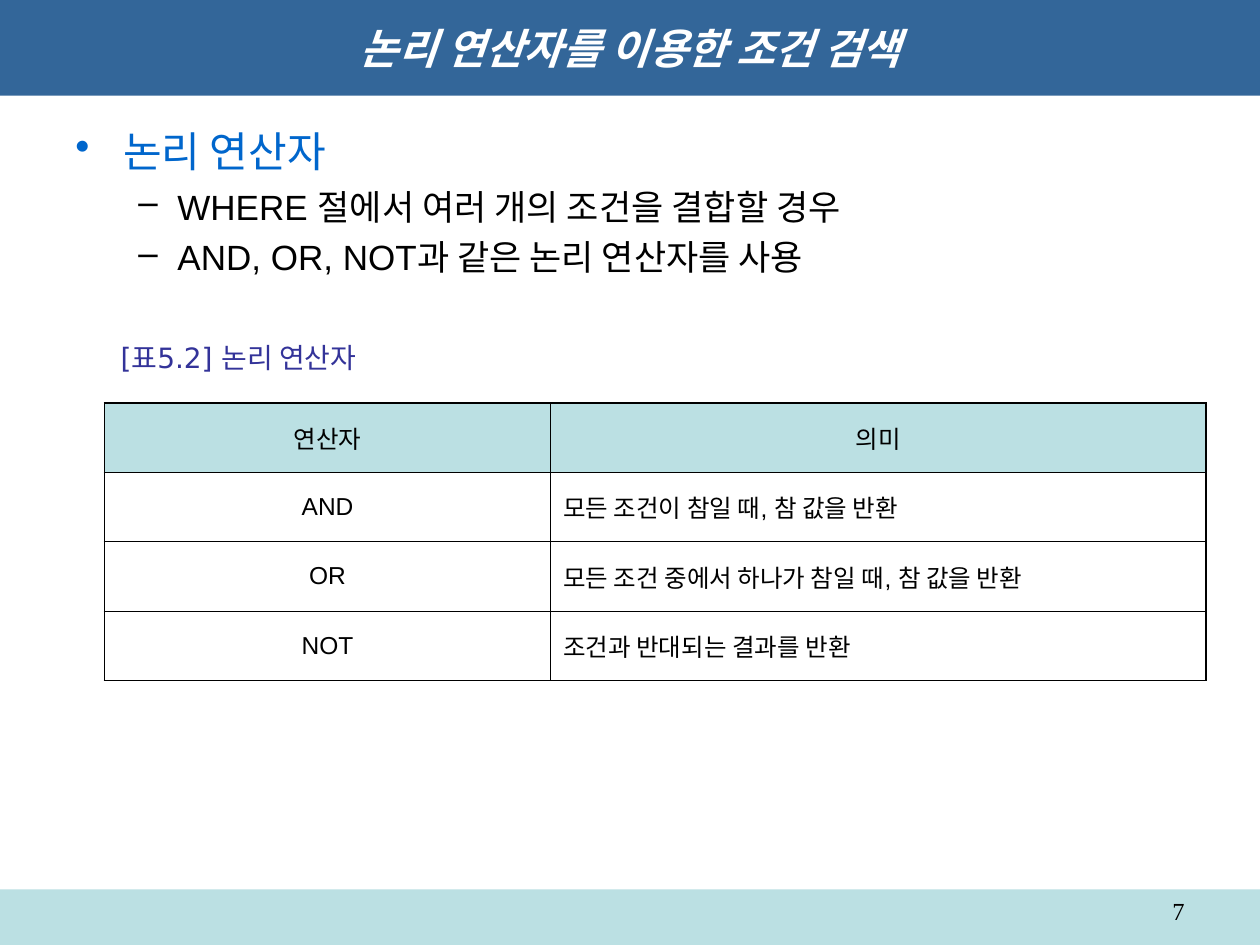
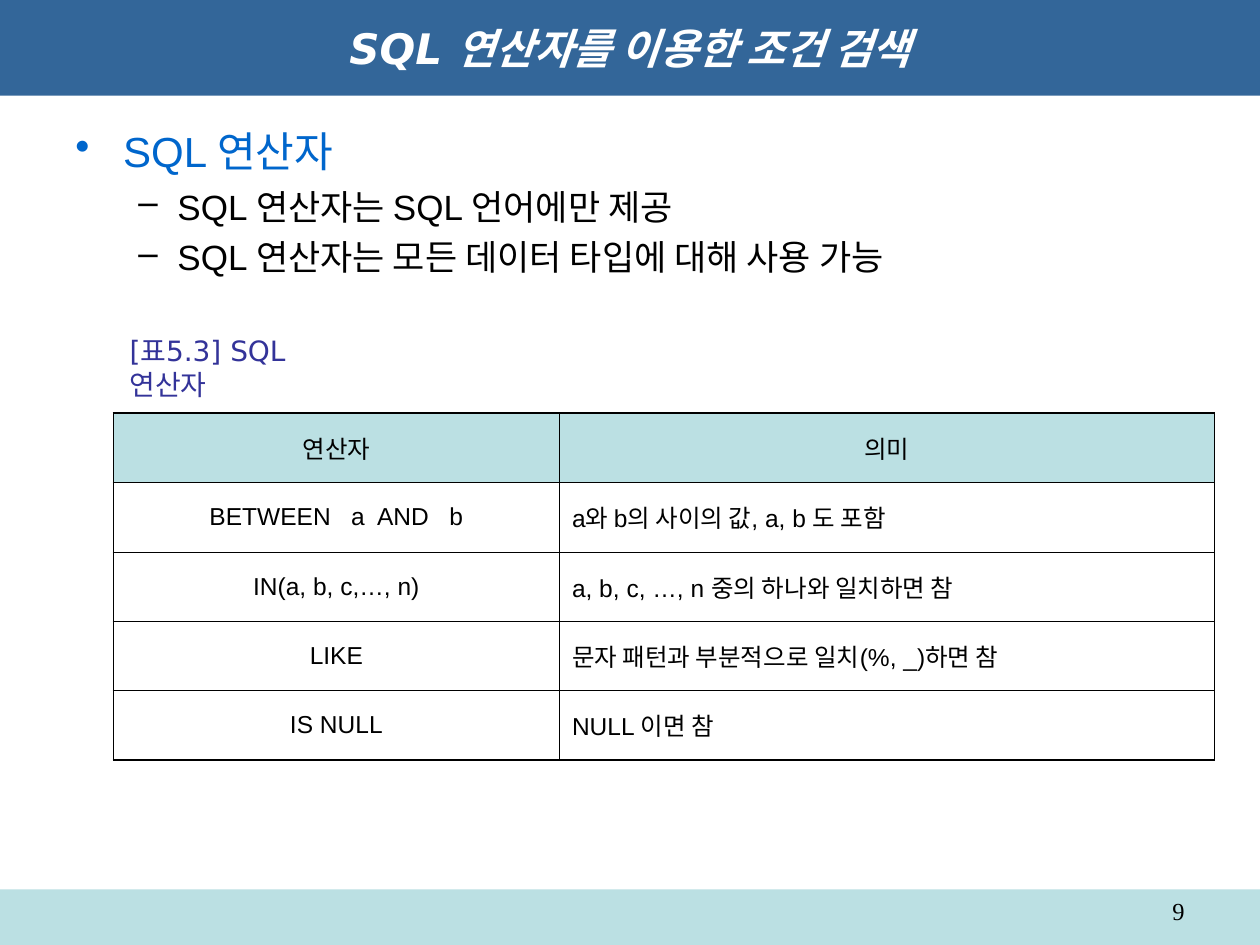
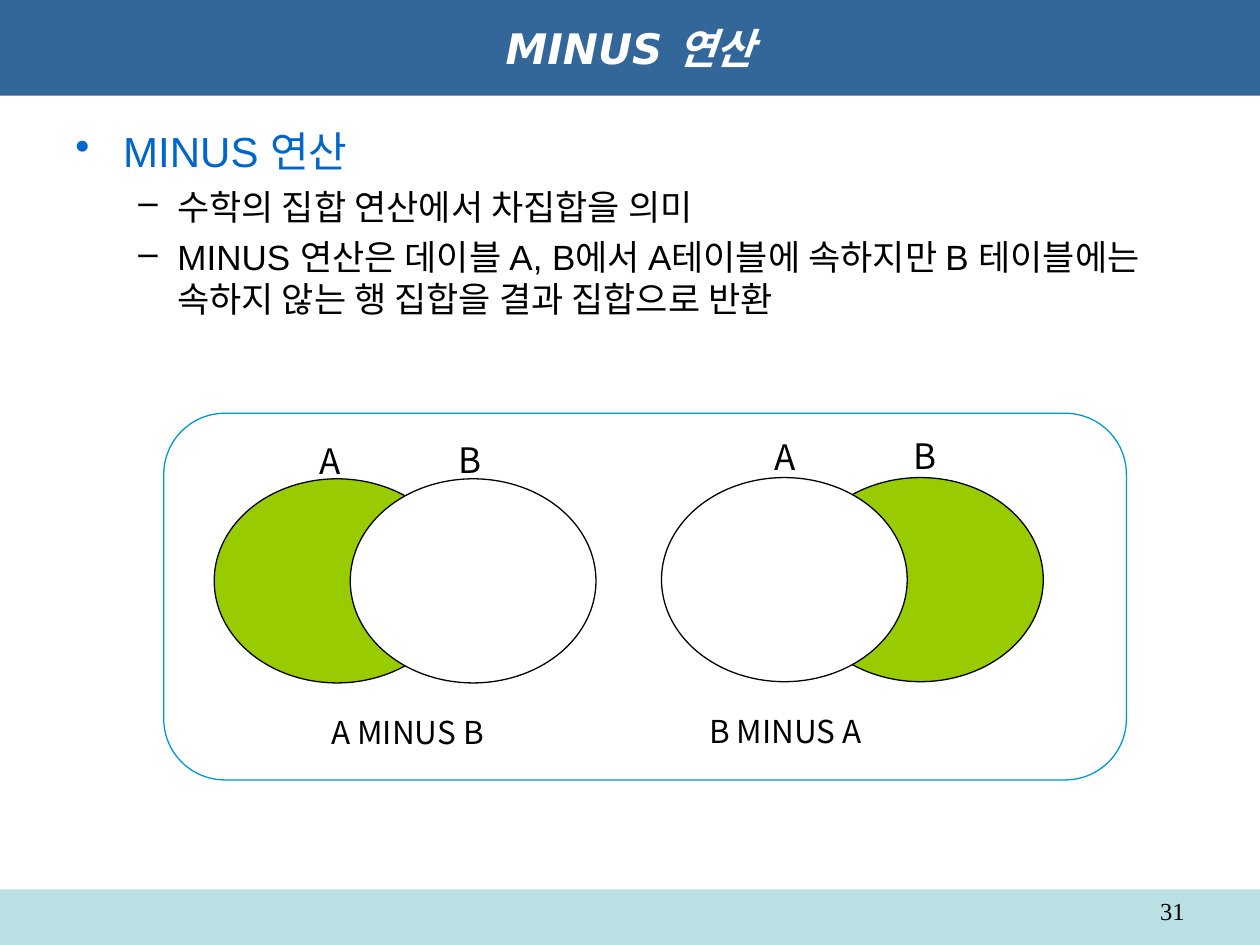
from lxml import etree
from pptx import Presentation
from pptx.dml.color import RGBColor
from pptx.enum import shapes as sh, text as tx
from pptx.oxml import ns
from pptx.util import Inches, Pt

HUE = {"bar": "336699", "pale": "BBE0E3", "head": "0066CC", "cap": "333399",
       "ink": "000000", "white": "FFFFFF", "green": "99CC00", "frame": "0099CC"}
SANS, CJK = "Arial", "Noto Sans CJK KR"
LEFT, MID, RIGHT = tx.PP_ALIGN.LEFT, tx.PP_ALIGN.CENTER, tx.PP_ALIGN.RIGHT
TOP, CENTER = tx.MSO_ANCHOR.TOP, tx.MSO_ANCHOR.MIDDLE
ROW, COLS = 0.55, (3.54, 5.2)
THIN, THICK = 0.45, 1.08


def rgb(name):
    return RGBColor.from_string(HUE[name])


def sub(node, tag, **attrs):
    return etree.SubElement(node, ns.qn(tag), attrs)


def write(para, words, size=14, font=SANS, hue="ink", bold=False,
          slant=False, align=LEFT, before=0):
    para.alignment = align
    para.space_before = Pt(before)
    run = para.add_run()
    run.text = words
    face = run.font
    face.size, face.name, face.bold, face.italic = Pt(size), font, bold, slant
    face.color.rgb = rgb(hue)
    sub(face._element, "a:ea", typeface=CJK)


def bullet(para, mark, hue, left, hang):
    props = para._p.get_or_add_pPr()
    props.set("marL", str(Inches(left)))
    props.set("indent", str(-Inches(hang)))
    sub(sub(props, "a:buClr"), "a:srgbClr", val=HUE[hue])
    sub(props, "a:buChar", char=mark)


def shape(slide, kind, box, fill=None, line=None):
    item = slide.shapes.add_shape(kind, *map(Inches, box))
    item.shadow.inherit = False
    if fill:
        item.fill.solid()
        item.fill.fore_color.rgb = rgb(fill)
    else:
        item.fill.background()
    if line:
        item.line.color.rgb = rgb(line)
        item.line.width = Pt(0.75)
    else:
        item.line.fill.background()
    return item


def area(slide, box, anchor=TOP):
    frame = slide.shapes.add_textbox(*map(Inches, box)).text_frame
    frame.word_wrap = True
    frame.vertical_anchor = anchor
    return frame


def label(slide, box, words, anchor=TOP, **fmt):
    write(area(slide, box, anchor).paragraphs[0], words, **fmt)


def title(slide, words):
    item = slide.shapes.title
    item.left, item.top, item.width, item.height = map(Inches, (0, 0, 10, 0.76))
    item.fill.solid()
    item.fill.fore_color.rgb = rgb("bar")
    frame = item.text_frame
    frame.auto_size = tx.MSO_AUTO_SIZE.NONE
    frame.vertical_anchor = CENTER
    write(frame.paragraphs[0], words, size=24, font="DejaVu Sans", hue="white",
          bold=True, slant=True, align=MID)


def body(slide, head, points):
    frame = area(slide, (0.5, 0.95, 9, 5.95))
    para = frame.paragraphs[0]
    write(para, head, size=24, hue="head", before=6)
    bullet(para, "•", "head", 0.38, 0.38)
    for point in points:
        para = frame.add_paragraph()
        para.level = 1
        write(para, point, size=20, before=5)
        bullet(para, "–", "ink", 0.81, 0.31)


def base(deck, name, head, points, number):
    """Add a slide with the parts that all slides share."""
    slide = deck.slides.add_slide(deck.slide_layouts[5])
    shape(slide, sh.MSO_SHAPE.RECTANGLE, (0, 7.06, 10, 0.44), "pale")
    title(slide, name)
    body(slide, head, points)
    label(slide, (7.17, 7.06, 2.33, 0.29), str(number),
          font="Times New Roman", align=RIGHT)
    return slide


def edges(cell, widths):
    """Draw the cell's borders; widths go left, right, top, bottom."""
    props = cell._tc.get_or_add_tcPr()
    for spot, (side, width) in enumerate(zip("LRTB", widths)):
        line = etree.Element(ns.qn("a:ln" + side), w=str(Pt(width)))
        sub(sub(line, "a:solidFill"), "a:srgbClr", val=HUE["ink"])
        props.insert(spot, line)


def grid(slide, left, top, caption, rows):
    rows = [("연산자", "의미")] + rows
    size = (sum(COLS), ROW * len(rows))
    table = slide.shapes.add_table(len(rows), len(COLS),
                                   *map(Inches, (left, top, *size))).table
    table.first_row = table.horz_banding = False
    for col, width in zip(table.columns, COLS):
        col.width = Inches(width)
    last = len(rows) - 1
    for r, row in enumerate(rows):
        table.rows[r].height = Inches(ROW)
        for c, words in enumerate(row):
            cell = table.cell(r, c)
            cell.vertical_anchor = CENTER
            if r == 0:
                cell.fill.solid()
                cell.fill.fore_color.rgb = rgb("pale")
            else:
                cell.fill.background()
            outer = (c == 0, c == len(COLS) - 1, r == 0, r == last)
            edges(cell, [THICK if out else THIN for out in outer])
            write(cell.text_frame.paragraphs[0], words, before=3.5,
                  align=LEFT if r and c else MID)
    label(slide, (left + 0.03, top - 0.55, 2.1, 0.37), caption, CENTER,
          size=16, font="DejaVu Sans", hue="cap")


def venn(slide, left, top, shift, keep, names, note):
    """Draw two overlapping sets; keep is the index of the shaded one."""
    for spot in (keep, 1 - keep):
        shape(slide, sh.MSO_SHAPE.OVAL, (left + 1.08 * spot, top, 1.95, 1.62),
              "green" if spot == keep else "white", "ink")
    for spot, name in enumerate("AB"):
        x, y = names
        label(slide, (left + x + 1.1 * spot, top + y - 0.01 * spot, 0.33, 0.44),
              name, size=20, font=CJK)
    label(slide, (left + shift, top + 1.81, 1.6, 0.4), note, size=18, font=CJK)


def sets(slide, left, top):
    venn(slide, left + 0.4, top + 0.52, 0.83, 0, (0.74, -0.36), "A MINUS B")
    venn(slide, left + 3.95, top + 0.51, 0.28, 1, (0.8, -0.38), "B MINUS A")
    shape(slide, sh.MSO_SHAPE.FLOWCHART_ALTERNATE_PROCESS,
          (left, top, 7.64, 2.91), line="frame")


def main():
    deck = Presentation()
    deck.slide_width, deck.slide_height = Inches(10), Inches(7.5)

    logic = base(deck, "논리 연산자를 이용한 조건 검색", "논리 연산자",
                 ["WHERE 절에서 여러 개의 조건을 결합할 경우",
                  "AND, OR, NOT과 같은 논리 연산자를 사용"], 7)
    grid(logic, 0.83, 3.2, "[표5.2] 논리 연산자",
         [("AND", "모든 조건이 참일 때, 참 값을 반환"),
          ("OR", "모든 조건 중에서 하나가 참일 때, 참 값을 반환"),
          ("NOT", "조건과 반대되는 결과를 반환")])

    query = base(deck, "SQL 연산자를 이용한 조건 검색", "SQL 연산자",
                 ["SQL 연산자는 SQL 언어에만 제공",
                  "SQL 연산자는 모든 데이터 타입에 대해 사용 가능"], 9)
    grid(query, 0.9, 3.28, "[표5.3] SQL 연산자",
         [("BETWEEN   a  AND   b", "a와 b의 사이의 값, a, b 도 포함"),
          ("IN(a, b, c,…, n)", "a, b, c, …, n 중의 하나와 일치하면 참"),
          ("LIKE", "문자 패턴과 부분적으로 일치(%, _)하면 참"),
          ("IS NULL", "NULL 이면 참")])

    minus = base(deck, "MINUS 연산", "MINUS 연산",
                 ["수학의 집합 연산에서 차집합을 의미",
                  "MINUS 연산은 데이블 A, B에서 A테이블에 속하지만 B "
                  "테이블에는 속하지 않는 행 집합을 결과 집합으로 반환"], 31)
    sets(minus, 1.3, 3.28)

    deck.save("out.pptx")


if __name__ == "__main__":
    main()
